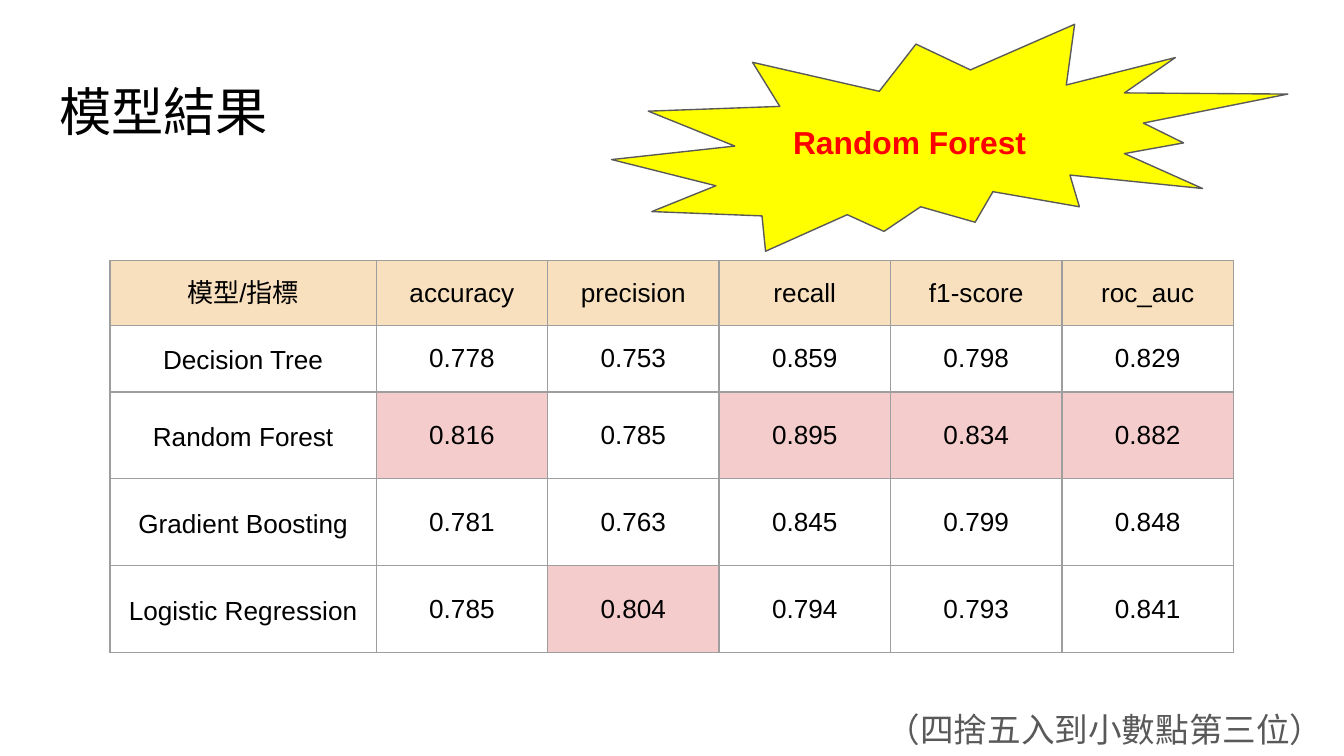
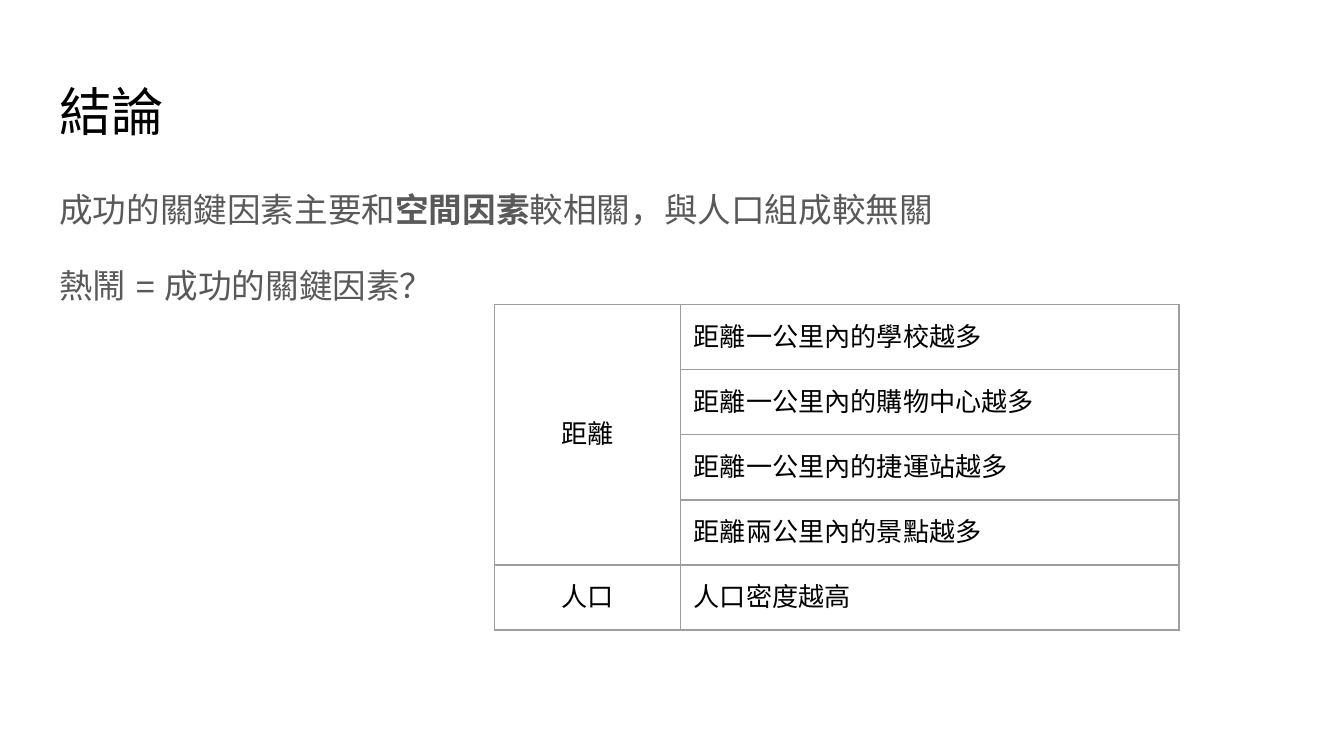
from lxml.etree import SubElement
from pptx import Presentation
from pptx.dml.color import RGBColor
from pptx.enum.shapes import MSO_SHAPE
from pptx.enum.text import MSO_ANCHOR, MSO_AUTO_SIZE, PP_ALIGN
from pptx.oxml.ns import qn
from pptx.util import Cm, Pt

FONT = "Arial"
INSET = Cm(0.25)
HUES = {
    "black": "000000",
    "gray": "595959",
    "rule": "9E9E9E",
    "head": "F8DFBD",
    "best": "F4CCCC",
    "burst": "FFFF00",
    "red": "FF0000",
}
HUES = {name: RGBColor.from_string(code) for name, code in HUES.items()}


def write(frame, paras, size=14, hue="black", bold=False, align=PP_ALIGN.LEFT,
          anchor=MSO_ANCHOR.TOP, lead=1.0, gap=0, after=0):
    """Fill a frame; each paragraph is a list of (text, bold) or a plain string."""
    frame.word_wrap = True
    frame.auto_size = MSO_AUTO_SIZE.NONE
    frame.vertical_anchor = anchor
    frame.margin_left = frame.margin_right = INSET
    frame.margin_top = frame.margin_bottom = INSET
    for i, parts in enumerate(paras):
        para = frame.add_paragraph() if i else frame.paragraphs[0]
        para.alignment = align
        para.line_spacing = lead
        para.space_before = Pt(gap if i else 0)
        para.space_after = Pt(after)
        for words, heavy in [(parts, bold)] if isinstance(parts, str) else parts:
            run = para.add_run()
            run.text = words
            run.font.size = Pt(size)
            run.font.bold = heavy
            run.font.color.rgb = HUES[hue]
            run.font.name = FONT
            SubElement(run.font._element, qn("a:ea"), typeface=FONT)


def grid(slide, left, top, cols, rows):
    """Add a plain table with thin rules around every cell."""
    frame = slide.shapes.add_table(len(rows), len(cols), Cm(left), Cm(top),
                                   Cm(sum(cols)), Cm(sum(rows)))
    table = frame.table
    table.first_row = table.horz_banding = False
    for col, width in zip(table.columns, cols):
        col.width = Cm(width)
    for row, height in zip(table.rows, rows):
        row.height = Cm(height)
    for cell in table.iter_cells():
        cell.margin_left = cell.margin_right = INSET
        cell.margin_top = cell.margin_bottom = INSET
        cell.vertical_anchor = MSO_ANCHOR.MIDDLE
        props = cell._tc.get_or_add_tcPr()
        for side in ("a:lnL", "a:lnR", "a:lnT", "a:lnB"):
            line = SubElement(props, qn(side), w=str(Pt(0.75)))
            fill = SubElement(line, qn("a:solidFill"))
            SubElement(fill, qn("a:srgbClr"), val=str(HUES["rule"]))
        cell.fill.background()
    return table


deck = Presentation()
deck.slide_width, deck.slide_height = Cm(25.4), Cm(14.29)

# Slides and titles
slides = []
for name in ("模型結果", "結論"):
    slide = deck.slides.add_slide(deck.slide_layouts[5])
    title = slide.shapes.title
    title.left, title.top = Cm(0.87), Cm(1.24)
    title.width, title.height = Cm(23.67), Cm(1.6)
    write(title.text_frame, [name], size=28)
    slides.append(slide)
first, last = slides

# Model scores, best of each column marked
heads = ["模型/指標", "accuracy", "precision", "recall", "f1-score", "roc_auc"]
scores = {
    "Decision Tree": [0.778, 0.753, 0.859, 0.798, 0.829],
    "Random Forest": [0.816, 0.785, 0.895, 0.834, 0.882],
    "Gradient Boosting": [0.781, 0.763, 0.845, 0.799, 0.848],
    "Logistic Regression": [0.785, 0.804, 0.794, 0.793, 0.841],
}
tops = [max(col) for col in zip(*scores.values())]
table = grid(first, 2.08, 4.93, [5.03] + [3.24] * 5, [1.22, 1.26] + [1.64] * 3)
for c, head in enumerate(heads):
    cell = table.cell(0, c)
    cell.fill.solid()
    cell.fill.fore_color.rgb = HUES["head"]
    write(cell.text_frame, [head], align=PP_ALIGN.CENTER)
for r, (model, values) in enumerate(scores.items(), 1):
    write(table.cell(r, 0).text_frame, [model], align=PP_ALIGN.CENTER,
          lead=1.15, after=16)
    for c, value in enumerate(values, 1):
        cell = table.cell(r, c)
        write(cell.text_frame, [f"{value:.3f}"], align=PP_ALIGN.CENTER)
        if value == tops[c - 1]:
            cell.fill.solid()
            cell.fill.fore_color.rgb = HUES["best"]

# Winner burst
burst = first.shapes.add_shape(MSO_SHAPE.EXPLOSION2, Cm(11.56), Cm(0.46),
                               Cm(12.78), Cm(4.29))
burst.shadow.inherit = False
burst.fill.solid()
burst.fill.fore_color.rgb = HUES["burst"]
burst.line.color.rgb = HUES["gray"]
burst.line.width = Pt(0.75)
write(burst.text_frame, ["Random Forest"], size=17, hue="red", bold=True,
      anchor=MSO_ANCHOR.MIDDLE)

# Rounding note
note = first.shapes.add_textbox(Cm(16.51), Cm(13.03), Cm(8.89), Cm(1.27))
write(note.text_frame, ["（四捨五入到小數點第三位）"], size=18, hue="gray",
      lead=1.15, after=16)

# Conclusion text
body = last.shapes.add_textbox(Cm(0.87), Cm(3.2), Cm(23.67), Cm(9.5))
write(body.text_frame, [
    [("成功的關鍵因素主要和", False), ("空間因素", True),
     ("較相關，與人口組成較無關", False)],
    "熱鬧 = 成功的關鍵因素？",
], size=18, hue="gray", lead=1.15, gap=16)

# Key factors
facts = [
    "距離一公里內的學校越多",
    "距離一公里內的購物中心越多",
    "距離一公里內的捷運站越多",
    "距離兩公里內的景點越多",
    "人口密度越高",
]
table = grid(last, 9.35, 5.76, [3.51, 9.42], [1.23] * len(facts))
table.cell(0, 0).merge(table.cell(3, 0))
for r, group in ((0, "距離"), (4, "人口")):
    write(table.cell(r, 0).text_frame, [group], align=PP_ALIGN.CENTER)
for r, fact in enumerate(facts):
    write(table.cell(r, 1).text_frame, [fact])

deck.save("out.pptx")
